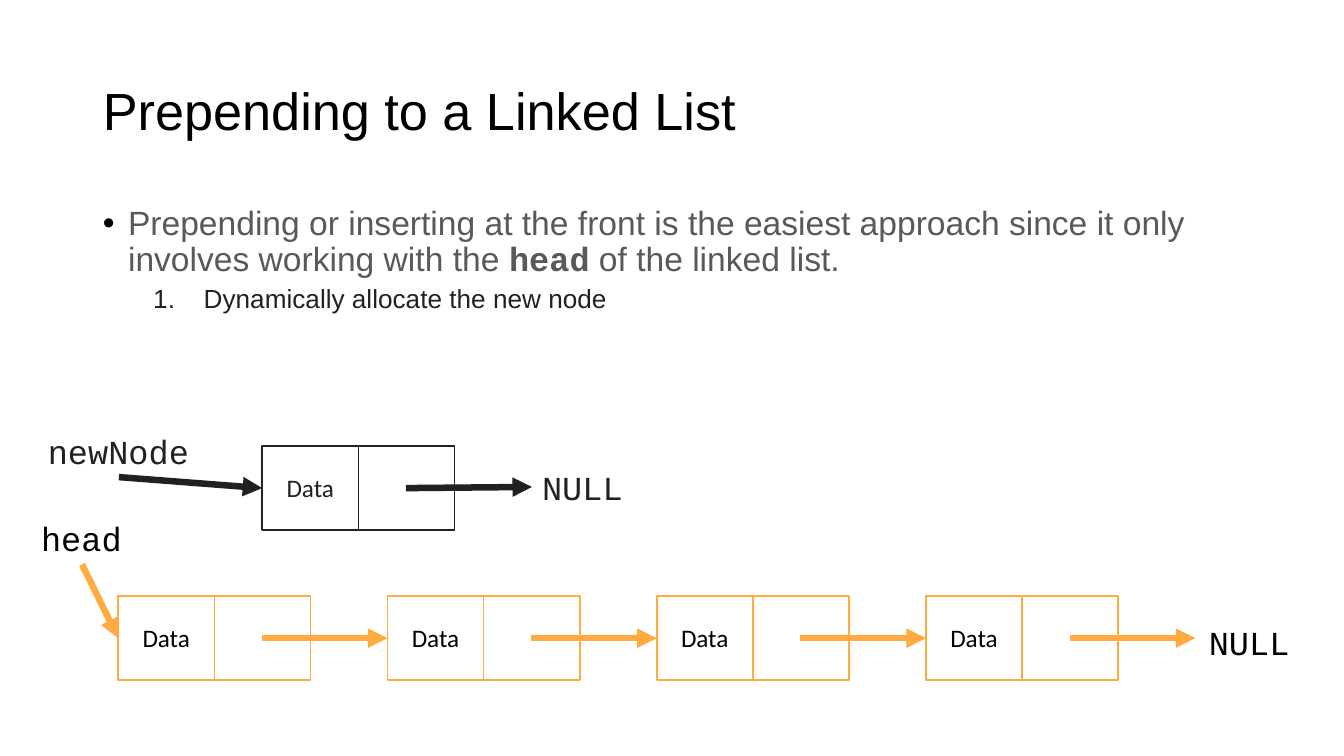
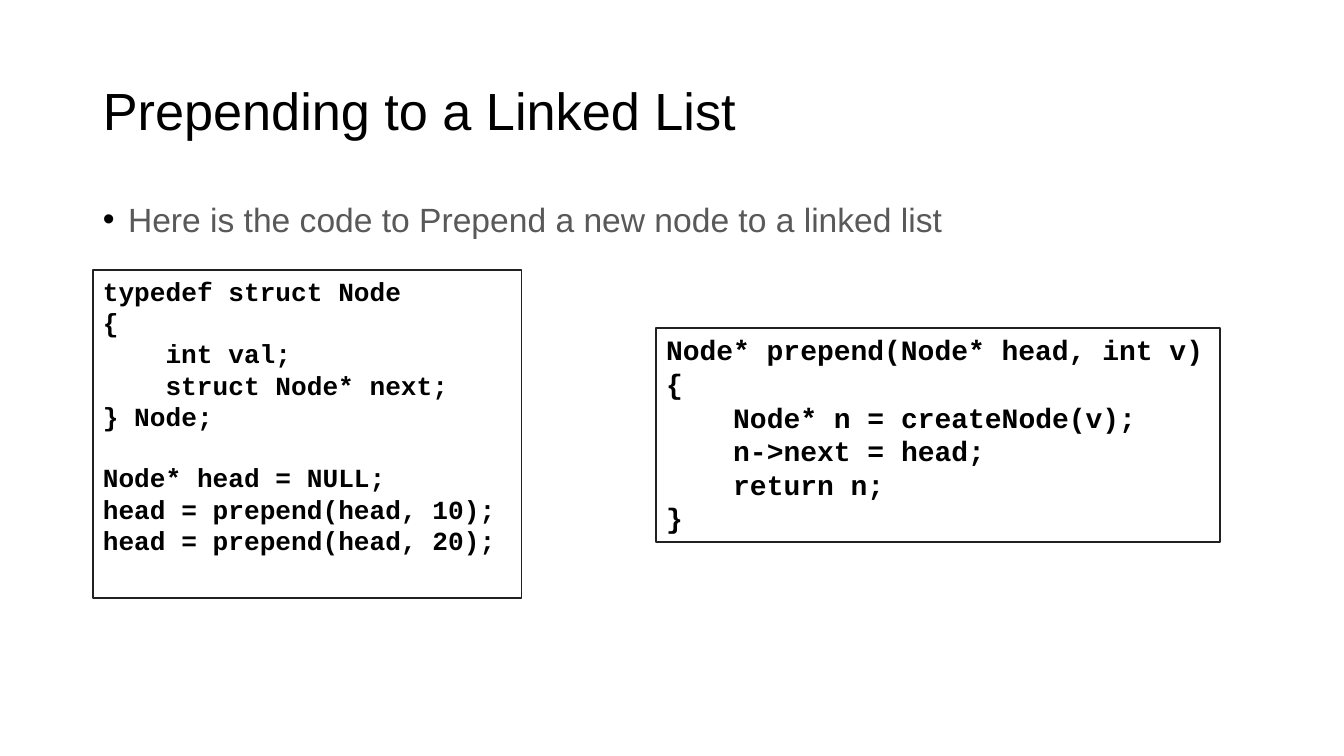
from dataclasses import dataclass
from lxml.etree import SubElement
from pptx import Presentation
from pptx.dml.color import RGBColor
from pptx.enum.shapes import MSO_CONNECTOR, MSO_SHAPE
from pptx.enum.text import MSO_ANCHOR, MSO_AUTO_SIZE, PP_ALIGN
from pptx.oxml.ns import qn
from pptx.util import Pt


@dataclass(frozen=True)
class Theme:
    black: str = "000000"
    dark: str = "212121"
    gray: str = "595959"
    gold: str = "FFAB40"
    white: str = "FFFFFF"
    sans: str = "Arial"
    mono: str = "Courier New"
    cell: str = "Calibri"
    title: float = 28
    lead: float = 18
    step: float = 14
    data: float = 13.5
    edge: float = 1
    rule: float = 0.75
    arrow: float = 3.5


T = Theme()
TITLE = "Prepending to a Linked List"
LEAD = [
    ("Prepending or inserting at the front is the easiest approach "
     "since it only involves working with the ", False),
    ("head", True),
    (" of the linked list.", False),
]
STEP = "Dynamically allocate the new node"
CODE_LEAD = [("Here is the code to Prepend a new node to a linked list", False)]

NODE_W, NODE_H = 103, 45
LINK_X, LINK_W = 77, 67.3
ROW_X, ROW_Y, ROW_GAP, ROW_N = 63.36, 319.4, 144.24, 4
NEW_X, NEW_Y = 140.5, 239

LABELS = {
    "end": ("NULL", 642.2, 330.5, 54.7, T.black),
    "head": ("head", 16.6, 275, 54.7, T.black),
    "new": ("newNode", 20.2, 228.2, 87, T.dark),
    "new end": ("NULL", 285, 247.2, 54.7, T.dark),
}

CODE = [
    ((351.4, 175.7, 302.4, 114.5), 15, [
        [(0, "Node* prepend(Node* head, int v)"),
         (0, "{"),
         (4, "Node* n = createNode(v);"),
         (4, "n->next = head;"),
         (4, "return n;"),
         (0, "}")],
    ]),
    ((49.7, 144.7, 229.7, 175.7), 14, [
        [(0, "typedef struct Node"),
         (0, "{"),
         (4, "int val;"),
         (4, "struct Node* next;"),
         (0, "} Node;")],
        [(0, "Node* head = NULL;"),
         (0, "head = prepend(head, 10);"),
         (0, "head = prepend(head, 20);")],
    ]),
]


def paint(run, size, face, color, bold=False):
    font = run.font
    font.size, font.name, font.bold = Pt(size), face, bold
    font.color.rgb = RGBColor.from_string(color)


def setup(frame, anchor=MSO_ANCHOR.TOP, wrap=True):
    frame.margin_left = frame.margin_right = Pt(5.4)
    frame.margin_top = frame.margin_bottom = Pt(2.7)
    frame.auto_size = MSO_AUTO_SIZE.NONE
    frame.vertical_anchor, frame.word_wrap = anchor, wrap


def place(shape, *box):
    shape.left, shape.top, shape.width, shape.height = map(Pt, box)


def mark(para, left, hang, color, kind, **attrs):
    props = para._p.get_or_add_pPr()
    props.set("marL", str(Pt(left)))
    props.set("indent", str(-Pt(hang)))
    tint = SubElement(props, qn("a:buClr"))
    SubElement(tint, qn("a:srgbClr")).set("val", color)
    SubElement(props, qn("a:buFont")).set("typeface", T.sans)
    SubElement(props, qn(kind)).attrib.update(attrs)


def start(deck, lead, high, space):
    slide = deck.slides.add_slide(deck.slide_layouts[1])
    title, body = slide.placeholders
    place(title, 49.7, 21.6, 620.6, 78.5)
    place(body, 49.7, 108, 620.6, high)
    title.text_frame.text = TITLE
    setup(title.text_frame, MSO_ANCHOR.MIDDLE)
    head = title.text_frame.paragraphs[0]
    head.alignment, head.line_spacing = PP_ALIGN.LEFT, 0.9
    paint(head.runs[0], T.title, T.sans, T.black)
    setup(body.text_frame)
    para = body.text_frame.paragraphs[0]
    para.line_spacing, para.space_before = space, Pt(0)
    for text, code in lead:
        run = para.add_run()
        run.text = text
        paint(run, T.lead, T.mono if code else T.sans, T.gray, code)
    mark(para, 13.5, 13.5, T.black, "a:buChar", char="•")
    return slide, body.text_frame


def label(slide, text, x, y, w, h, size, face, color):
    box = slide.shapes.add_textbox(Pt(x), Pt(y), Pt(w), Pt(h))
    box.text_frame.text = text
    setup(box.text_frame, wrap=False)
    para = box.text_frame.paragraphs[0]
    para.alignment = PP_ALIGN.LEFT
    paint(para.runs[0], size, face, color)
    return box


def frame(slide, x, y, w, h, color):
    rect = slide.shapes.add_shape(MSO_SHAPE.RECTANGLE, Pt(x), Pt(y), Pt(w), Pt(h))
    rect.shadow.inherit = False
    rect.fill.solid()
    rect.fill.fore_color.rgb = RGBColor.from_string(T.white)
    rect.line.color.rgb = RGBColor.from_string(color)
    rect.line.width = Pt(T.edge)
    return rect


def join(slide, color, width, begin, end, tip=True):
    line = slide.shapes.add_connector(MSO_CONNECTOR.STRAIGHT, 0, 0, 0, 0)
    if isinstance(begin[0], (int, float)):
        line.begin_x, line.begin_y = map(Pt, begin)
    else:
        line.begin_connect(*begin)
    if isinstance(end[0], (int, float)):
        line.end_x, line.end_y = map(Pt, end)
    else:
        line.end_connect(*end)
    line.line.color.rgb = RGBColor.from_string(color)
    line.line.width = Pt(width)
    if tip:
        SubElement(line.line._get_or_add_ln(), qn("a:tailEnd")).set("type", "triangle")
    SubElement(line._element.spPr, qn("a:effectLst"))


def node(slide, x, y, color, ink):
    rect = frame(slide, x, y, NODE_W, NODE_H, color)
    join(slide, color, T.rule, (rect, 0), (rect, 2), tip=False)
    label(slide, "Data", x + 7.6, y + 11.5, 36.7, 21.6, T.data, T.cell, ink)
    return rect


def draw_list(deck):
    slide, body = start(deck, LEAD, 257, 0.9)
    para = body.add_paragraph()
    para.text, para.level = STEP, 1
    para.line_spacing, para.space_before = 0.9, Pt(3.8)
    paint(para.runs[0], T.step, T.sans, T.dark)
    mark(para, 54, 27, T.dark, "a:buAutoNum", type="arabicPeriod")

    tags = {key: label(slide, text, x, y, w, 27.4, T.lead, T.mono, color)
            for key, (text, x, y, w, color) in LABELS.items()}
    lefts = [ROW_X + i * ROW_GAP for i in range(ROW_N)]
    nodes = [node(slide, x, ROW_Y, T.gold, T.black) for x in lefts]
    mid = ROW_Y + NODE_H / 2
    ends = [(rect, 1) for rect in nodes[1:]]
    ends.append((lefts[-1] + LINK_X + LINK_W, mid))
    for x, end in zip(lefts, ends):
        join(slide, T.gold, T.arrow, (x + LINK_X, mid), end)
    join(slide, T.gold, T.arrow, (tags["head"], 2), (nodes[0], 1))

    fresh = node(slide, NEW_X, NEW_Y, T.dark, T.dark)
    join(slide, T.dark, T.arrow, (NEW_X + LINK_X, NEW_Y + NODE_H / 2),
         (tags["new end"], 1))
    join(slide, T.dark, T.arrow, (tags["new"], 2), (fresh, 1))


def draw_code(deck):
    slide, _ = start(deck, CODE_LEAD, 25.2, 0.8)
    for box, size, groups in CODE:
        text = frame(slide, *box, T.dark).text_frame
        setup(text)
        lines = [line for group in groups for line in group]
        text.text = "\n".join(line for _, line in lines)
        heads = [group[0] for group in groups[1:]]
        for para, line in zip(text.paragraphs, lines):
            para.alignment = PP_ALIGN.LEFT
            para.space_before = Pt(size * 1.13 if line in heads else 0)
            para._p.get_or_add_pPr().set("marL", str(Pt(line[0] * size * 0.6)))
            paint(para.runs[0], size, T.mono, T.black, True)


def main():
    deck = Presentation()
    deck.slide_width, deck.slide_height = Pt(720), Pt(405)
    draw_list(deck)
    draw_code(deck)
    deck.save("out.pptx")


if __name__ == "__main__":
    main()
